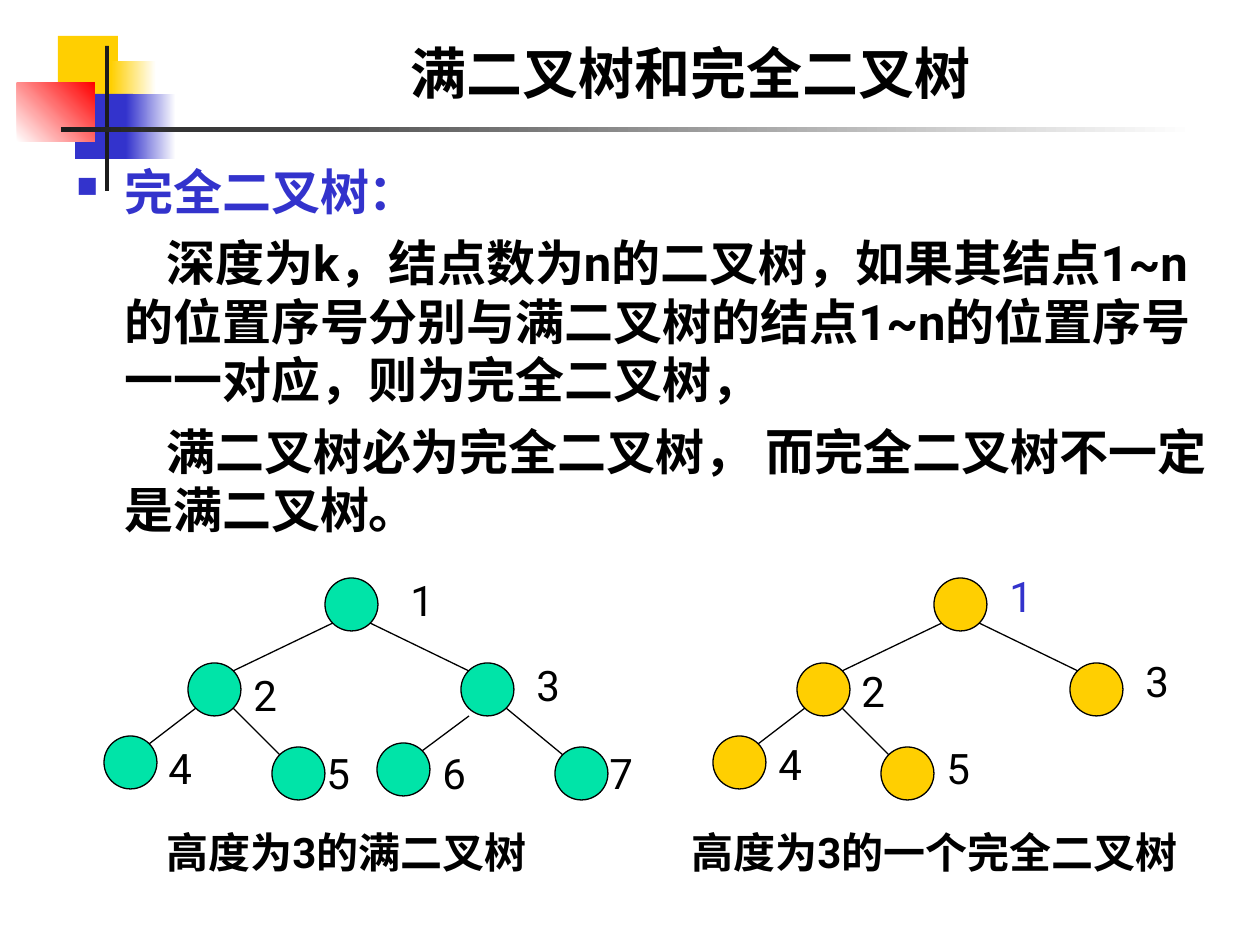
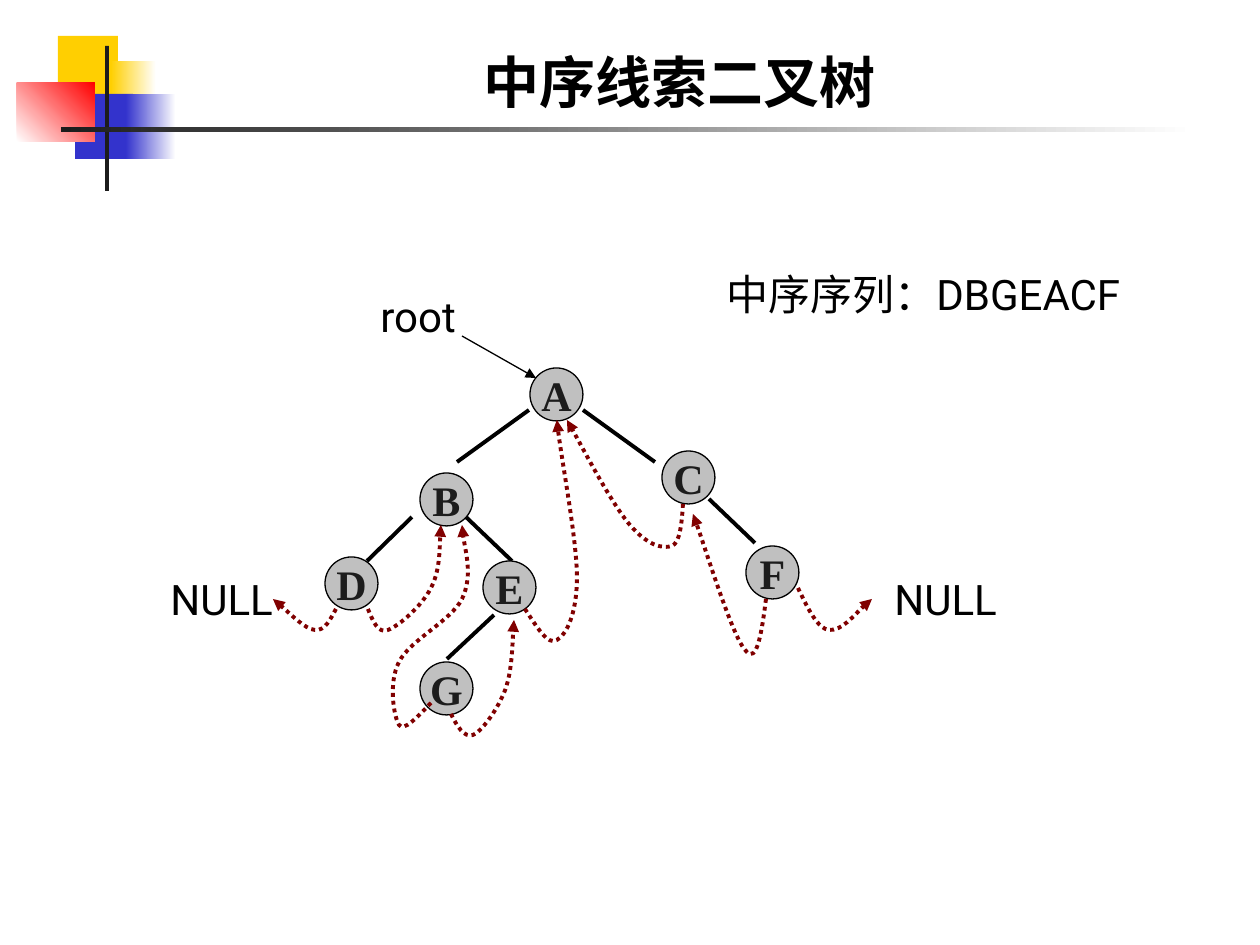
"""Build two slides on full, complete and threaded binary trees."""
import pptx
import pptx.dml.color
import pptx.enum.dml
import pptx.enum.shapes
import pptx.enum.text
import pptx.oxml
import pptx.oxml.ns
import pptx.util

PX = 914400 / 126
RGB = pptx.dml.color.RGBColor
BLACK = RGB(0x00, 0x00, 0x00)
WHITE = RGB(0xFF, 0xFF, 0xFF)
INK = RGB(0x1C, 0x1C, 0x1C)
GOLD = RGB(0xFF, 0xCF, 0x01)
BLUE = RGB(0x33, 0x33, 0xCC)
RED = RGB(0xFF, 0x00, 0x00)
GREEN = RGB(0x00, 0xE4, 0xA8)
GREY = RGB(0xC0, 0xC0, 0xC0)
MAROON = RGB(0x80, 0x00, 0x00)

SHAPE = pptx.enum.shapes.MSO_SHAPE
ALIGN = pptx.enum.text.PP_ALIGN
ANCHOR = pptx.enum.text.MSO_ANCHOR

NODE = 53
NEAR, FAR = 8, 45
BANDS = (
    ((58, 36, 60, 65), (GOLD,), 0),
    ((111, 61, 45, 65), (GOLD, WHITE), 0),
    ((75, 94, 58, 65), (BLUE,), 0),
    ((126, 94, 50, 65), (BLUE, WHITE), 0),
    ((17, 83, 78, 59), (WHITE, RED), 45),
    ((105, 46, 4, 145), (INK,), 0),
    ((61, 127, 1134, 5), (INK, WHITE), 0),
)
SPOTS = {1: (325, 578), 2: (188, 663), 3: (461, 663), 4: (104, 736),
         5: (272, 747), 6: (377, 743), 7: (555, 747)}
DROPS = {6: 8}
FULL_TAGS = {1: (398, 568), 2: (241, 663), 3: (524, 653), 4: (156, 736),
             5: (314, 741), 6: (430, 741), 7: (597, 741)}
PART_TAGS = {1: (997, 564), 2: (849, 659), 3: (1133, 649), 4: (766, 732),
             5: (934, 736)}
KEYS = {"B": (420, 473), "A": (530, 368), "C": (662, 451), "E": (483, 561),
        "D": (325, 557), "G": (420, 662), "F": (746, 546)}
LINKS = (
    ((529, 410), (457, 462)), ((583, 410), (655, 462)),
    ((466, 517), (512, 561)), ((494, 615), (447, 659)),
    ((412, 517), (367, 561)), ((709, 499), (755, 543)),
)
THREADS = (
    ((766, 599), (762, 631), (757, 665), (746, 651),
     (733, 638), (702, 537), (693, 514)),
    ((798, 588), (808, 609), (818, 629), (829, 630),
     (842, 631), (864, 604), (872, 599)),
    ((336, 609), (330, 620), (325, 631), (315, 630),
     (305, 629), (280, 604), (273, 599)),
    ((368, 609), (373, 621), (378, 634), (388, 630), (399, 626),
     (422, 606), (431, 588), (440, 571), (440, 536), (441, 525)),
    ((431, 703), (417, 717), (404, 732), (399, 725), (394, 717),
     (388, 683), (399, 662), (410, 640), (451, 621), (462, 599),
     (473, 576), (462, 537), (462, 525)),
    ((451, 714), (457, 726), (464, 738), (473, 735), (481, 732),
     (496, 712), (504, 693), (512, 674), (513, 631), (514, 620)),
    ((525, 609), (537, 627), (548, 646), (557, 640), (566, 635),
     (577, 615), (577, 577), (577, 541), (559, 446), (557, 420)),
    ((683, 504), (682, 523), (680, 543), (672, 546), (663, 549),
     (648, 546), (630, 525), (612, 504), (577, 437), (567, 420)),
)


def emu(*px):
    """Turn px lengths into EMU."""
    return [pptx.util.Emu(round(n * PX)) for n in px]


def add(node, tag, **attrs):
    """Append a drawing element with the given attributes."""
    kid = pptx.oxml.parse_xml(f"<a:{tag} {pptx.oxml.ns.nsdecls('a')}/>")
    for key, val in attrs.items():
        kid.set(key, str(val))
    node.append(kid)
    return kid


def write(frame, text, size=24, color=BLACK, bold=False, font="Roboto",
          align=ALIGN.LEFT, gap=0, hang=None, bullet=None):
    """Write one paragraph into a text frame."""
    para = frame.paragraphs[0] if not frame.text else frame.add_paragraph()
    para.alignment = align
    para.space_before = pptx.util.Pt(gap)
    prop = para._p.get_or_add_pPr()
    if hang:
        left, first = emu(*hang)
        prop.set("marL", str(left))
        prop.set("indent", str(first))
    if bullet:
        add(add(prop, "buClr"), "srgbClr", val=color)
        add(prop, "buSzPct", val=60000)
        add(prop, "buChar", char=bullet)
    run = para.add_run()
    run.text = text
    run.font.size = pptx.util.Pt(size)
    run.font.bold = bold
    run.font.color.rgb = color
    run.font.name = font
    mark = run._r.get_or_add_rPr()
    mark.set("lang", "zh-CN")
    add(mark, "ea", typeface=font)


def frame(slide, box, anchor=ANCHOR.TOP):
    """Add an empty wrapping text box and return its frame."""
    area = slide.shapes.add_textbox(*emu(*box)).text_frame
    area.word_wrap = True
    area.vertical_anchor = anchor
    return area


def label(slide, text, box, **form):
    """Add a text box with one line of text."""
    write(frame(slide, box), text, **form)


def title(slide, text, box):
    """Add the slide title."""
    write(frame(slide, box, ANCHOR.BOTTOM), text, size=32, bold=True,
          align=ALIGN.CENTER)


def band(slide, box, hues, angle):
    """Add a plain or shaded bar."""
    bar = slide.shapes.add_shape(SHAPE.RECTANGLE, *emu(*box))
    bar.shadow.inherit = False
    bar.line.fill.background()
    if len(hues) == 1:
        bar.fill.solid()
        bar.fill.fore_color.rgb = hues[0]
        return
    bar.fill.gradient()
    bar.fill.gradient_angle = angle
    for stop, hue in zip(bar.fill.gradient_stops, hues):
        stop.color.rgb = hue


def disc(shapes, spot, hue):
    """Add a round tree node."""
    ball = shapes.add_shape(SHAPE.OVAL, *emu(*spot, NODE, NODE))
    ball.shadow.inherit = False
    ball.fill.solid()
    ball.fill.fore_color.rgb = hue
    ball.line.color.rgb = BLACK
    ball.line.width = pptx.util.Pt(0.75)
    return ball


def stroke(shapes, start, end, width=0.75, arrow=False):
    """Add a straight line."""
    line = shapes.add_connector(pptx.enum.shapes.MSO_CONNECTOR.STRAIGHT,
                                *emu(*start, *end))
    line.line.color.rgb = BLACK
    line.line.width = pptx.util.Pt(width)
    if arrow:
        add(line.line._get_or_add_ln(), "tailEnd", type="triangle")
    add(line._element.spPr, "effectLst")


def thread(slide, points):
    """Add a dotted curved arrow through cubic control points."""
    pen = slide.shapes.build_freeform(*points[0], scale=PX)
    pen.add_line_segments(points[1:], close=False)
    curve = pen.convert_to_shape()
    legs = curve._element.xpath(".//a:lnTo")
    trail = legs[0].getparent()
    for i in range(0, len(legs), 3):
        bend = add(trail, "cubicBezTo")
        for leg in legs[i:i + 3]:
            bend.append(leg[0])
            trail.remove(leg)
    curve.shadow.inherit = False
    curve.fill.background()
    curve.line.color.rgb = MAROON
    curve.line.width = pptx.util.Pt(2.25)
    curve.line.dash_style = pptx.enum.dml.MSO_LINE.ROUND_DOT
    add(curve.line._get_or_add_ln(), "tailEnd", type="triangle")


def tree(slide, tags, hue, shift=0, tint=BLACK):
    """Draw a numbered tree in which node n hangs from node n // 2."""
    group = slide.shapes.add_group_shape().shapes
    spots = {n: (SPOTS[n][0] + shift, SPOTS[n][1]) for n in tags}
    for n, (x, y) in spots.items():
        disc(group, (x, y), hue)
        if n > 1:
            top_x, top_y = spots[n // 2]
            out, home = (FAR, NEAR) if n % 2 else (NEAR, FAR)
            stroke(group, (top_x + out, top_y + FAR + DROPS.get(n, 0)),
                   (x + home, y + NEAR))
    for n, spot in tags.items():
        label(slide, str(n), (*spot, 53, 63), color=tint if n == 1 else BLACK)


def page(deck):
    """Add a blank slide with the shared bands."""
    slide = deck.slides.add_slide(deck.slide_layouts[6])
    for box, hues, angle in BANDS:
        band(slide, box, hues, angle)
    return slide


def shapes_page(deck):
    """Build the slide that compares full and complete trees."""
    slide = page(deck)
    body = frame(slide, (64, 155, 1169, 417))
    write(body, "完全二叉树：", size=28, color=BLUE, bold=True,
          hang=(48, -48), bullet="■")
    for text in (
        "深度为k，结点数为n的二叉树，如果其结点1~n的位置序号分别与满二叉树的结点1~n的位置序号一一对应，则为完全二叉树，",
        "满二叉树必为完全二叉树， 而完全二叉树不一定是满二叉树。",
    ):
        write(body, text, size=28, bold=True, gap=7, hang=(48, 42))
    tree(slide, FULL_TAGS, GREEN)
    tree(slide, PART_TAGS, GOLD, shift=609, tint=BLUE)
    label(slide, "高度为3的满二叉树", (154, 820, 417, 63), bold=True)
    label(slide, "高度为3的一个完全二叉树", (679, 820, 546, 63), bold=True)
    title(slide, "满二叉树和完全二叉树", (154, 26, 1074, 86))


def threads_page(deck):
    """Build the slide of the inorder threaded tree."""
    slide = page(deck)
    for start, end in LINKS:
        stroke(slide.shapes, start, end, width=2.25)
    for key, spot in KEYS.items():
        text = disc(slide.shapes, spot, GREY).text_frame
        text.word_wrap = False
        text.vertical_anchor = ANCHOR.MIDDLE
        write(text, key, color=INK, bold=True, font="Times New Roman",
              align=ALIGN.CENTER)
    title(slide, "中序线索二叉树", (144, 16, 1071, 105))
    label(slide, "root", (368, 284, 126, 63))
    stroke(slide.shapes, (462, 336), (536, 378), arrow=True)
    for points in THREADS:
        thread(slide, points)
    for x in (158, 882):
        label(slide, "NULL", (x, 567, 147, 63))
    label(slide, "中序序列：DBGEACF", (714, 262, 436, 113))


def main():
    """Build and save the deck."""
    deck = pptx.Presentation()
    deck.slide_width, deck.slide_height = emu(1260, 945)
    shapes_page(deck)
    threads_page(deck)
    deck.save("out.pptx")


if __name__ == "__main__":
    main()
